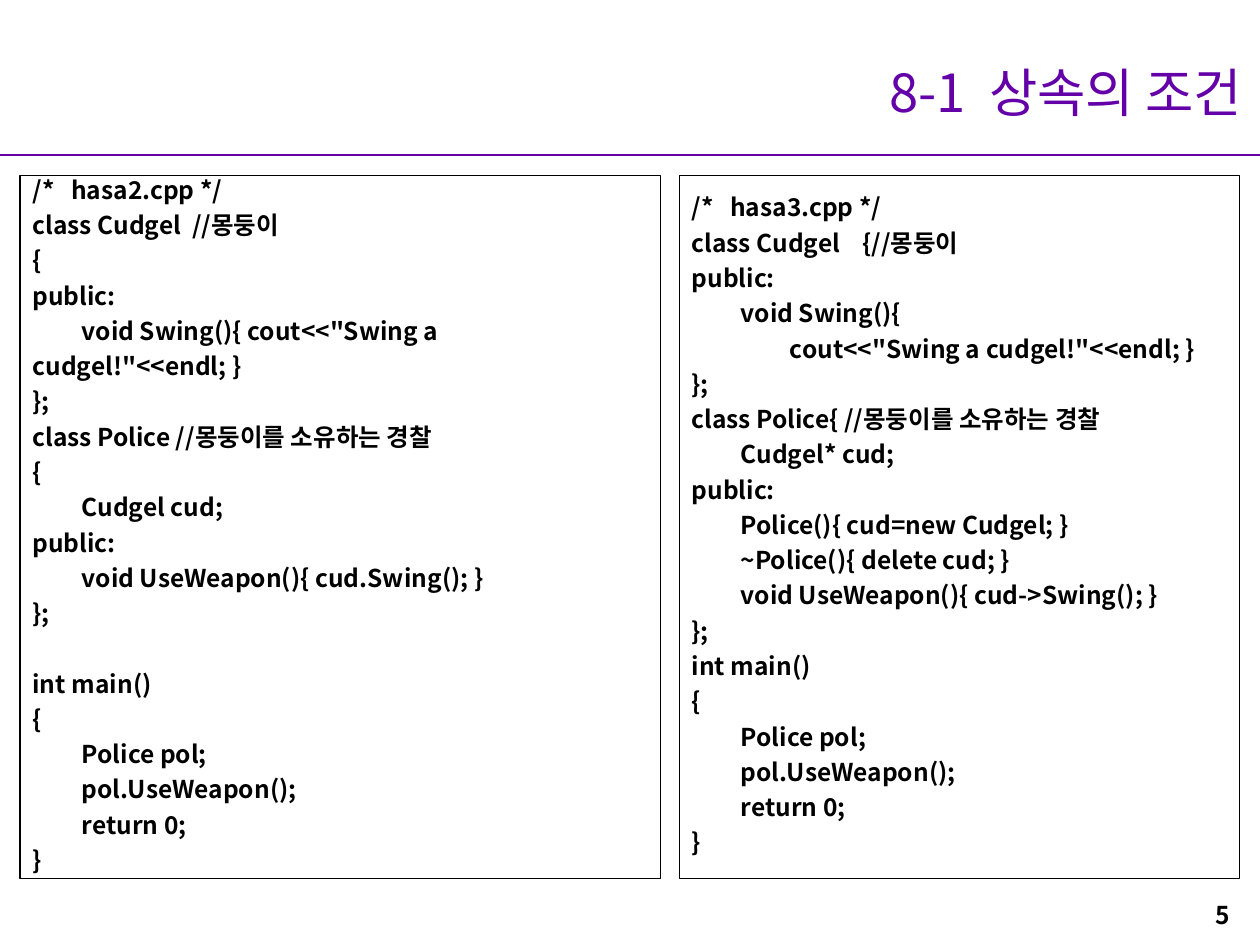
from pptx import Presentation
from pptx.dml.color import RGBColor as RGB
from pptx.enum.shapes import MSO_CONNECTOR as Conn, MSO_SHAPE as Kind
from pptx.enum.text import MSO_ANCHOR as Anchor, PP_ALIGN as Align
from pptx.oxml.ns import qn
from pptx.util import Inches, Pt
from lxml.etree import SubElement

THEME = dict(font="Noto Sans CJK KR", ink=RGB(0, 0, 0),
             violet=RGB(0x64, 0, 0xA8), title=30, body=14)
TAB = Inches(0.39)


def write(frame, text, size=THEME["body"], color=THEME["ink"], bold=False,
          align=Align.LEFT, anchor=Anchor.TOP, space=None,
          inset=(0.1, 0.05, 0.1, 0.05)):
    frame.word_wrap = True
    frame.vertical_anchor = anchor
    (frame.margin_left, frame.margin_top,
     frame.margin_right, frame.margin_bottom) = map(Inches, inset)
    for i, line in enumerate(text.split("\n")):
        par = frame.add_paragraph() if i else frame.paragraphs[0]
        par.alignment, par.line_spacing = align, space
        par.font.size = Pt(size)
        # Code indents use narrow tab stops
        if "\t" in line:
            tabs = SubElement(par._p.get_or_add_pPr(), qn("a:tabLst"))
            for n in (1, 2):
                SubElement(tabs, qn("a:tab"), pos=str(n * TAB), algn="l")
            props = par._p.pPr
            rest = props.find(qn("a:defRPr"))
            if rest is not None:
                rest.addprevious(tabs)
        if not line:
            SubElement(par._p, qn("a:endParaRPr"), sz=str(size * 100))
            continue
        run = par.add_run()
        run.text = line
        font = run.font
        font.name, font.size, font.bold = THEME["font"], Pt(size), bold
        font.color.rgb = color
        SubElement(run._r.get_or_add_rPr(), qn("a:ea"), typeface=THEME["font"])


deck = Presentation()
deck.slide_width, deck.slide_height = Inches(10), Inches(7.5)
slide = deck.slides.add_slide(deck.slide_layouts[5])
shapes = slide.shapes

# Title and rule
title = shapes.title
title.left, title.top, title.width, title.height = map(
    Inches, (0.96, 0.28, 9, 0.89))
write(title.text_frame, "8-1  상속의 조건", size=THEME["title"],
      color=THEME["violet"], align=Align.RIGHT, anchor=Anchor.MIDDLE)
rule = shapes.add_connector(Conn.STRAIGHT, 0, Inches(1.23),
                            deck.slide_width, Inches(1.23))
rule.line.color.rgb, rule.line.width = THEME["violet"], Pt(1.5)
SubElement(rule._element.spPr, qn("a:effectLst"))

# Code panels
HELD = """/*   hasa2.cpp */
class Cudgel  //몽둥이
{
public:
\tvoid Swing(){ cout<<"Swing a cudgel!"<<endl; }
};
class Police //몽둥이를 소유하는 경찰
{
\tCudgel cud;
public:
\tvoid UseWeapon(){ cud.Swing(); }
};

int main()
{
\tPolice pol;
\tpol.UseWeapon();
\treturn 0;
}"""
LINKED = """/*   hasa3.cpp */
class Cudgel    {//몽둥이
public:
\tvoid Swing(){
\t\tcout<<"Swing a cudgel!"<<endl; }
};
class Police{ //몽둥이를 소유하는 경찰
\tCudgel* cud;
public:
\tPolice(){ cud=new Cudgel; }
\t~Police(){ delete cud; }
\tvoid UseWeapon(){ cud->Swing(); }
};
int main()
{
\tPolice pol;
\tpol.UseWeapon();
\treturn 0;
}"""
for left, width, code in ((0.16, 5.08, HELD), (5.39, 4.45, LINKED)):
    box = shapes.add_shape(Kind.RECTANGLE, *map(
        Inches, (left, 1.39, width, 5.58)))
    box.shadow.inherit = False
    box.fill.background()
    box.line.color.rgb, box.line.width = THEME["ink"], Pt(0.75)
    write(box.text_frame, code, bold=True, anchor=Anchor.MIDDLE,
          space=Pt(20.16), inset=(0.1, 0.13, 0.1, 0.21))

# Page number
page = shapes.add_textbox(*map(Inches, (7.53, 7.09, 2.33, 0.52)))
write(page.text_frame, "5", bold=True, align=Align.RIGHT)

deck.save("out.pptx")
